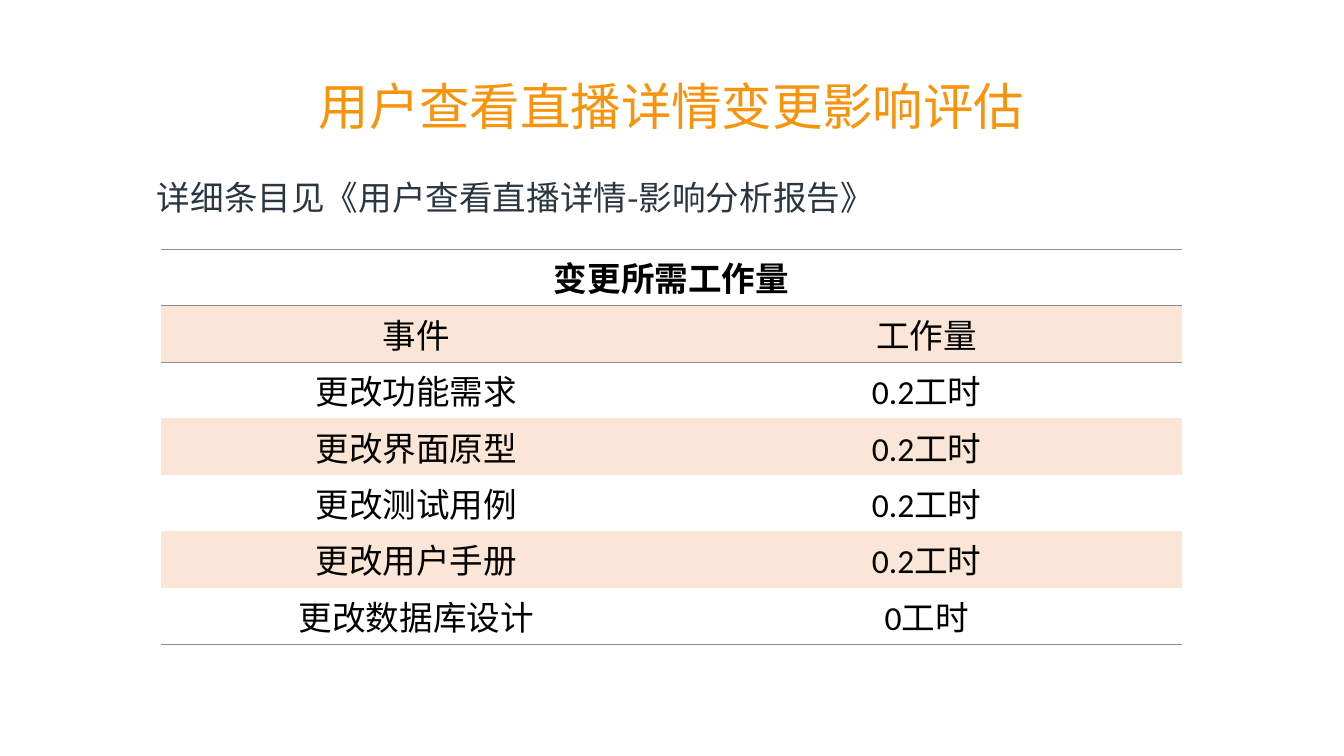
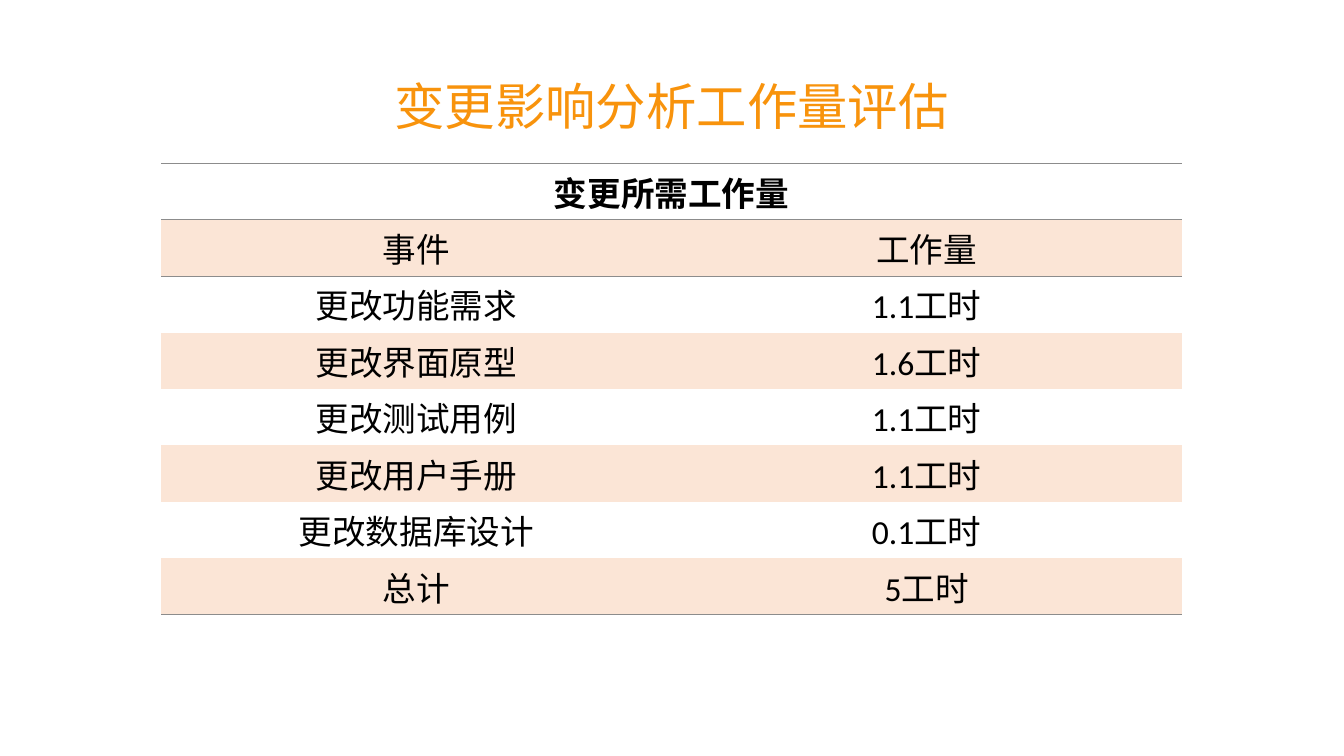
from pptx import Presentation
from pptx.dml.color import RGBColor
from pptx.enum.text import MSO_ANCHOR, PP_ALIGN
from pptx.oxml import parse_xml
from pptx.oxml.ns import nsdecls, qn
from pptx.util import Emu, Pt

PX = 9144  # EMU per px, 100 px to the inch

ORANGE = RGBColor(0xF8, 0x93, 0x0C)
SLATE = RGBColor(0x2A, 0x36, 0x41)
BLACK = RGBColor(0x00, 0x00, 0x00)
PEACH = RGBColor(0xFB, 0xE5, 0xD6)
RULE_GREY = RGBColor(0x8C, 0x8C, 0x8C)

CJK_FONT = "Noto Sans CJK SC"
TABLE_FONT = "Calibri"
NO_GRID_STYLE = "{2D5ABB26-0587-4C30-8999-92F81FD0307C}"

TITLE_BOX = (280, 70, 773, 70)
NOTE_BOX = (146, 159, 1085, 62)
TABLE_LEFT, TABLE_WIDTH, ROW_HEIGHT = 160, 1013, 56

TABLE_HEAD = "变更所需工作量"
COLUMN_NAMES = ("事件", "工作量")
TASKS = ("更改功能需求", "更改界面原型", "更改测试用例", "更改用户手册", "更改数据库设计")


def px(length):
    return Emu(length * PX)


def style_paragraph(paragraph, size, color, font_name, align, bold=False):
    """Set the font, with the same Chinese face everywhere."""
    paragraph.alignment = align
    font = paragraph.font
    font.name, font.size, font.bold = font_name, Pt(size), bold
    font.color.rgb = color
    for run in paragraph.runs:
        run.font.name = font_name
        run.font.size = Pt(size)
        latin = run.font._element.find(qn("a:latin"))
        latin.addnext(parse_xml(f'<a:ea {nsdecls("a")} typeface="{CJK_FONT}"/>'))


def add_text(slide, box, text, size, color, align=PP_ALIGN.LEFT, line_spacing=1.0):
    frame = slide.shapes.add_textbox(*map(px, box)).text_frame
    frame.word_wrap = True
    paragraph = frame.paragraphs[0]
    paragraph.text = text
    paragraph.line_spacing = line_spacing
    style_paragraph(paragraph, size, color, CJK_FONT, align)


def add_rule(cell, side):
    """Draw a thin line on one side ("T" or "B") of a cell."""
    cell._tc.get_or_add_tcPr().insert(0, parse_xml(
        f'<a:ln{side} {nsdecls("a")} w="{Pt(0.45)}"><a:solidFill>'
        f'<a:srgbClr val="{RULE_GREY}"/></a:solidFill></a:ln{side}>'))


def fill_cell(cell, text, banded, bold):
    cell.text = text
    cell.vertical_anchor = MSO_ANCHOR.MIDDLE
    cell.margin_top = cell.margin_bottom = px(3)
    style_paragraph(cell.text_frame.paragraphs[0], 24, BLACK, TABLE_FONT,
                    PP_ALIGN.CENTER, bold)
    if banded:
        cell.fill.solid()
        cell.fill.fore_color.rgb = PEACH
    else:
        cell.fill.background()


def add_workload_table(slide, top, workloads):
    rows = [(TABLE_HEAD, ""), COLUMN_NAMES, *workloads]
    frame = slide.shapes.add_table(
        len(rows), 2, px(TABLE_LEFT), px(top),
        px(TABLE_WIDTH), px(ROW_HEIGHT * len(rows)))
    table = frame.table
    table.first_row = table.horz_banding = False
    table._tbl.tblPr.find(qn("a:tableStyleId")).text = NO_GRID_STYLE
    for row_index, row in enumerate(rows):
        for column_index, text in enumerate(row):
            cell = table.cell(row_index, column_index)
            fill_cell(cell, text, row_index % 2 == 1, row_index == 0)
            if row_index in (0, len(rows) - 1):
                add_rule(cell, "B")
            if row_index in (0, 1):
                add_rule(cell, "T")
    table.cell(0, 0).merge(table.cell(0, 1))


def add_workload_slide(presentation, title, table_top, workloads, note=None):
    slide = presentation.slides.add_slide(presentation.slide_layouts[6])
    add_text(slide, TITLE_BOX, title, 36, ORANGE, PP_ALIGN.CENTER)
    if note:
        add_text(slide, NOTE_BOX, note, 24, SLATE, line_spacing=1.3)
    add_workload_table(slide, table_top, workloads)


def main():
    presentation = Presentation()
    presentation.slide_width, presentation.slide_height = px(1334), px(750)
    change_hours = ("0.2工时", "0.2工时", "0.2工时", "0.2工时", "0工时")
    analysis_hours = ("1.1工时", "1.6工时", "1.1工时", "1.1工时", "0.1工时")
    add_workload_slide(presentation, "用户查看直播详情变更影响评估", 247,
                       zip(TASKS, change_hours),
                       note="详细条目见《用户查看直播详情-影响分析报告》")
    add_workload_slide(presentation, "变更影响分析工作量评估", 162,
                       [*zip(TASKS, analysis_hours), ("总计", "5工时")])
    presentation.save("out.pptx")


if __name__ == "__main__":
    main()
